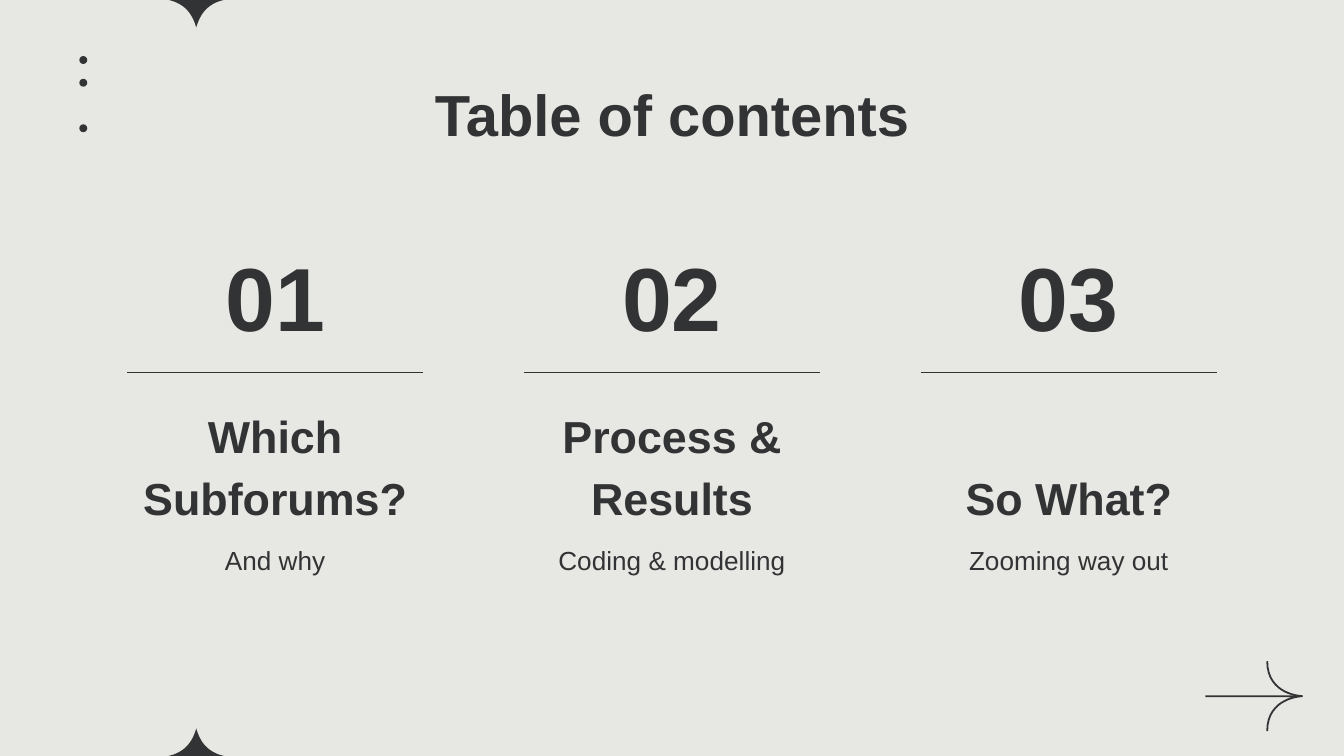
from pptx import Presentation
from pptx.dml.color import RGBColor
from pptx.enum.shapes import MSO_CONNECTOR, MSO_SHAPE
from pptx.enum.text import MSO_ANCHOR as ANCHOR, PP_ALIGN as ALIGN
from pptx.util import Cm, Pt
from lxml import etree

INK, PAPER = "323334", "E7E8E3"
WIDTH, HEIGHT = 25.4, 14.29


def rgb(value):
    return RGBColor.from_string(value)


def write(box, text, size, bold, anchor, spacing=1.0):
    frame = box.text_frame
    frame.word_wrap = True
    frame.vertical_anchor = anchor
    frame.margin_left = frame.margin_right = Cm(0.25)
    frame.margin_top = frame.margin_bottom = Cm(0.25)
    paragraph = frame.paragraphs[0]
    paragraph.text = text
    paragraph.alignment = ALIGN.CENTER
    paragraph.line_spacing = spacing
    font = paragraph.font
    font.name, font.size, font.bold = "Arial", Pt(size), bold
    font.color.rgb = rgb(INK)


prs = Presentation()
prs.slide_width, prs.slide_height = Cm(WIDTH), Cm(HEIGHT)
slide = prs.slides.add_slide(prs.slide_layouts[5])
slide.background.fill.solid()
slide.background.fill.fore_color.rgb = rgb(PAPER)
shapes = slide.shapes

# Three dots, top left
for dot_top in (1.06, 1.49, 2.35):
    dot = shapes.add_shape(MSO_SHAPE.OVAL, Cm(1.5), Cm(dot_top), Cm(0.15), Cm(0.15))
    dot.shadow.inherit = False
    dot.fill.solid()
    dot.fill.fore_color.rgb = rgb(INK)
    dot.line.fill.background()

# Curves as (x, y) offsets, sampled from cubic Béziers
steps = [i / 16 for i in range(17)]
weights = [((1 - t) ** 3, 3 * t * (1 - t) ** 2, 3 * t * t * (1 - t), t ** 3) for t in steps]
star_handles = [(0, 0), (0.08, 0.28), (0.23, 0.45), (0.52, 0.52)]
barb_handles = [(0, 0), (0, 0), (-0.66, 0.02), (-0.66, 0.66)]
star_side, barb = [
    [tuple(sum(w * h[axis] for w, h in zip(row, handles)) for axis in (0, 1)) for row in weights]
    for handles in (star_handles, barb_handles)
]

# Outlines: arrow with two barbs, half stars at the bottom and top edges
tip_x, tip_y = 24.61, 13.16
lower_arrow = [(22.78, tip_y)] + [(tip_x + x, tip_y + y) for x, y in barb]
upper_barb = [(tip_x + x, tip_y - y) for x, y in barb]
star_outline = [(-x, y) for x, y in reversed(star_side)] + star_side
bottom_star = [(3.71 + x, HEIGHT - 0.52 + y) for x, y in star_outline]
top_star = [(x, HEIGHT - y) for x, y in bottom_star]

for outline, filled in ((lower_arrow, False), (upper_barb, False),
                        (bottom_star, True), (top_star, True)):
    points = [(Cm(x), Cm(y)) for x, y in outline]
    builder = shapes.build_freeform(*points[0])
    builder.add_line_segments(points[1:], close=filled)
    ornament = builder.convert_to_shape()
    ornament.shadow.inherit = False
    if filled:
        ornament.fill.solid()
        ornament.fill.fore_color.rgb = rgb(INK)
        ornament.line.fill.background()
    else:
        ornament.fill.background()
        ornament.line.color.rgb = rgb(INK)
        ornament.line.width = Pt(0.95)

# Title
title = shapes.title
title.left, title.top, title.width, title.height = Cm(2), Cm(1.24), Cm(21.4), Cm(1.6)
write(title, "Table of contents", 31, True, ANCHOR.TOP)

# Three sections around evenly spaced centres
sections = [
    ("01", "Which Subforums?", "And why"),
    ("02", "Process & Results", "Coding & modelling"),
    ("03", "So What?", "Zooming way out"),
]
for column, (number, heading, subtitle) in enumerate(sections):
    centre = WIDTH / 2 + (column - 1) * 7.5
    for text, top, width, height, size, bold, anchor, spacing in (
        (subtitle, 9.96, 6.28, 1.6, 14, False, ANCHOR.TOP, 1.15),
        (number, 4.55, 3.15, 2.08, 48, True, ANCHOR.MIDDLE, 1.0),
        (heading, 7.44, 6.28, 2.72, 24, True, ANCHOR.BOTTOM, 1.15),
    ):
        box = shapes.add_textbox(Cm(centre - width / 2), Cm(top), Cm(width), Cm(height))
        write(box, text, size, bold, anchor, spacing)
    rule = shapes.add_connector(MSO_CONNECTOR.STRAIGHT, Cm(centre - 2.8), Cm(7.04),
                                Cm(centre + 2.8), Cm(7.04))
    rule.line.color.rgb = rgb(INK)
    rule.line.width = Pt(0.75)
    etree.SubElement(rule._element.spPr,
                     "{http://schemas.openxmlformats.org/drawingml/2006/main}effectLst")

prs.save("out.pptx")
